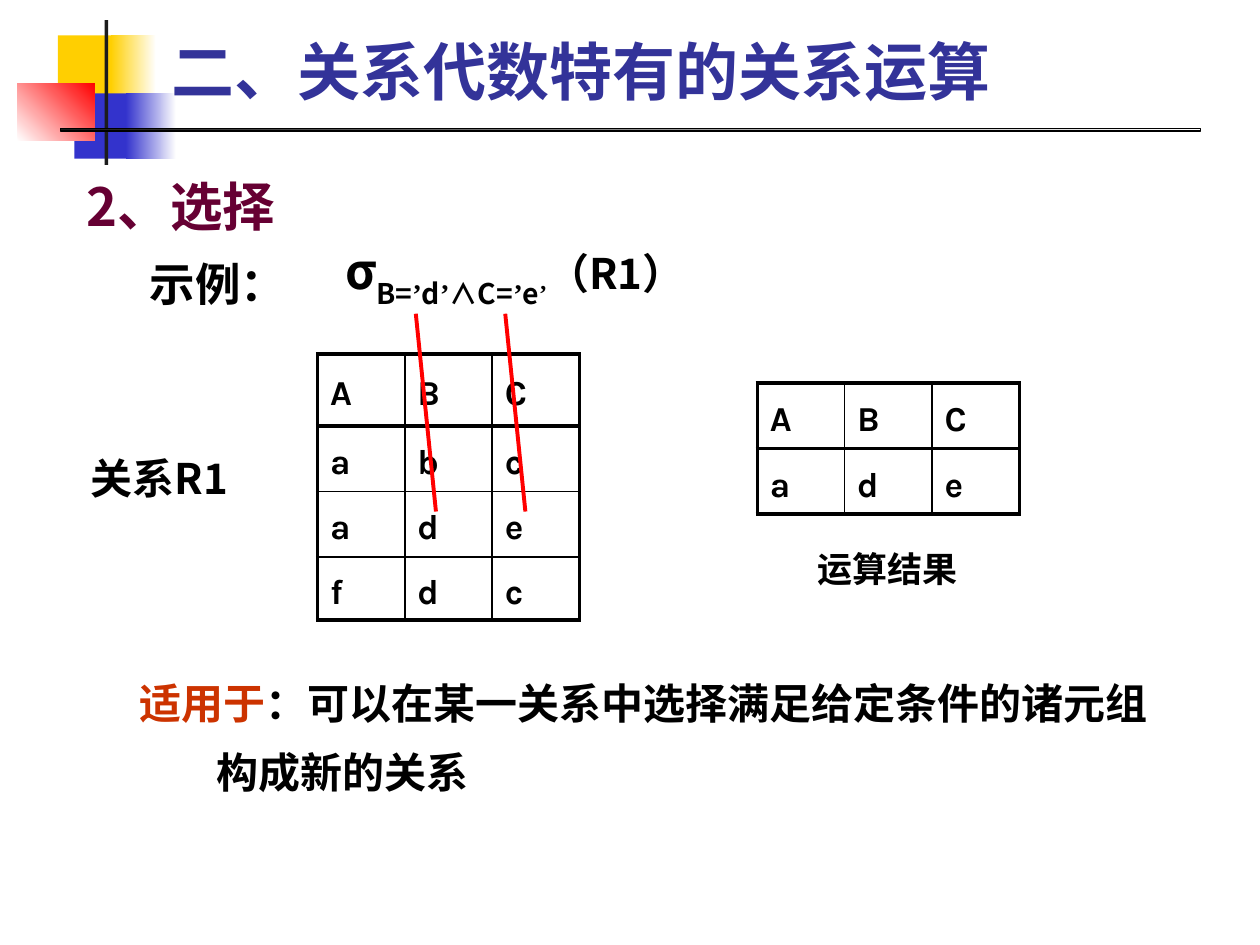
from dataclasses import dataclass

from lxml.etree import SubElement
from pptx import Presentation
from pptx.dml.color import RGBColor
from pptx.enum.shapes import MSO_CONNECTOR, MSO_SHAPE
from pptx.enum.text import MSO_ANCHOR, PP_ALIGN
from pptx.oxml.ns import qn
from pptx.util import Inches, Pt


@dataclass(frozen=True)
class Theme:
    black: str = "000000"
    white: str = "FFFFFF"
    yellow: str = "FFCF01"
    blue: str = "3333CC"
    red: str = "FF0000"
    bar: str = "1C1C1C"
    title: str = "333399"
    heading: str = "660033"
    accent: str = "CC3300"
    cjk: str = "Noto Sans CJK SC"
    latin: str = "Karla"
    serif: str = "Times New Roman"
    sans: str = "Arial"
    title_size: int = 36
    heading_size: int = 30
    formula_size: int = 28
    example_size: int = 26
    body_size: int = 24
    small_size: int = 20
    thick: float = 2.25
    thin: float = 1


T = Theme()


def add_run(p, text, size, color=T.black, font=T.cjk, subscript=False):
    r = p.add_run()
    r.text = text
    r.font.size = Pt(size)
    r.font.bold = True
    r.font.name = font
    r.font.color.rgb = RGBColor.from_string(color)
    rPr = r.font._element
    SubElement(rPr, qn("a:ea")).set("typeface", font)
    if subscript:
        rPr.set("baseline", "-30000")


def add_text(left, top, width, height, wrap=True):
    tf = s.shapes.add_textbox(*map(Inches, (left, top, width, height))).text_frame
    tf.word_wrap = wrap
    return tf


prs = Presentation()
prs.slide_width, prs.slide_height = Inches(10), Inches(7.5)
s = prs.slides.add_slide(prs.slide_layouts[6])

# Corner decoration and title rule: box, colours (two make a gradient), angle
decoration = [
    ((0.46, 0.28, 0.48, 0.52), [T.yellow], 0),
    ((0.88, 0.28, 0.36, 0.52), [T.yellow, T.white], 0),
    ((0.59, 0.74, 0.46, 0.52), [T.blue], 0),
    ((1, 0.74, 0.4, 0.52), [T.blue, T.white], 0),
    ((0.14, 0.66, 0.61, 0.46), [T.white, T.red], 45),
    ((0.83, 0.16, 0.03, 1.15), [T.bar], 0),
    ((0.48, 1.02, 9.05, 0.02), [T.bar, T.white], 0),
]
for box, colors, angle in decoration:
    sp = s.shapes.add_shape(MSO_SHAPE.RECTANGLE, *map(Inches, box))
    sp.shadow.inherit = False
    sp.line.fill.background()
    if len(colors) == 1:
        sp.fill.solid()
        sp.fill.fore_color.rgb = RGBColor.from_string(colors[0])
    else:
        sp.fill.gradient()
        sp.fill.gradient_angle = angle
        for stop, color in zip(sp.fill.gradient_stops, colors):
            stop.color.rgb = RGBColor.from_string(color)
title_rule = sp
title_rule.line.color.rgb = RGBColor.from_string(T.black)
title_rule.line.width = Pt(0.75)

# Title
tf = add_text(1.26, 0.23, 8.52, 0.68)
tf.vertical_anchor = MSO_ANCHOR.BOTTOM
add_run(tf.paragraphs[0], "二、关系代数特有的关系运算", T.title_size, T.title, T.latin)

# Heading and example label
tf = add_text(0.59, 1.23, 8.82, 5.98)
p = tf.paragraphs[0]
p.line_spacing = 1.2
add_run(p, "2、选择", T.heading_size, T.heading)
p = tf.add_paragraph()
p.line_spacing = 1.2
p.space_before = Pt(5)
p._p.get_or_add_pPr().set("marL", str(Inches(0.5)))
add_run(p, "示例：", T.example_size)

# Relation tables: left, top, row heights, rows
tables = [
    (2.52, 2.81, [0.57, 0.52, 0.52, 0.46], ["ABC", "abc", "ade", "fdc"]),
    (6.01, 3.04, [0.52, 0.52], ["ABC", "ade"]),
]
for left, top, heights, rows in tables:
    frame = s.shapes.add_table(len(rows), 3, Inches(left), Inches(top),
                               Inches(2.08), Inches(sum(heights)))
    table = frame.table
    for column in table.columns:
        column.width = Inches(2.08 / 3)
    for i, (height, row) in enumerate(zip(heights, rows)):
        table.rows[i].height = Inches(height)
        for j, letter in enumerate(row):
            cell = table.cell(i, j)
            cell.vertical_anchor = MSO_ANCHOR.MIDDLE
            p = cell.text_frame.paragraphs[0]
            p.line_spacing = 1.2
            add_run(p, letter, T.small_size, font=T.latin)
            # Outer edges and the line under the header are thick
            thick_sides = {
                "a:lnL": j == 0,
                "a:lnR": j == 2,
                "a:lnT": i <= 1,
                "a:lnB": i in (0, len(rows) - 1),
            }
            tcPr = cell._tc.get_or_add_tcPr()
            for side, is_thick in thick_sides.items():
                ln = SubElement(tcPr, qn(side))
                ln.set("w", str(Pt(T.thick if is_thick else T.thin)))
                fill = SubElement(ln, qn("a:solidFill"))
                SubElement(fill, qn("a:srgbClr")).set("val", T.black)
            cell.fill.background()

# Labels
labels = [
    ((0.35, 3.54, 1.83, 0.5), "关系R1", T.body_size, T.cjk),
    ((6.02, 4.3, 2.05, 0.43), "运算结果", T.small_size, T.sans),
]
for box, text, size, font in labels:
    p = add_text(*box).paragraphs[0]
    p.alignment = PP_ALIGN.CENTER
    add_run(p, text, size, font=font)

# Selection formula
p = add_text(2.64, 1.86, 3.15, 0.57, wrap=False).paragraphs[0]
add_run(p, "σ", T.formula_size)
for text in ["B=", "’", "d", "’", "∧C=", "’", "e"]:
    add_run(p, text, T.formula_size, font=T.serif if text == "’" else T.cjk, subscript=True)
add_run(p, "’", T.body_size, font=T.serif, subscript=True)
add_run(p, "（R1）", T.body_size)

# Conclusion
tf = add_text(0.51, 5.25, 9.06, 1.14)
conclusion = [
    (0.5, [("适用于", T.accent), ("：可以在某一关系中选择满足给定条件的诸元组", T.black)]),
    (1.11, [("构成新的关系", T.black)]),
]
for i, (indent, runs) in enumerate(conclusion):
    p = tf.add_paragraph() if i else tf.paragraphs[0]
    p.line_spacing = 1.2
    if i:
        p.space_before = Pt(5)
    p._p.get_or_add_pPr().set("marL", str(Inches(indent)))
    for text, color in runs:
        add_run(p, text, T.body_size, color)

# Lines from each condition to its matching value
for x in (3.3, 4.01):
    line = s.shapes.add_connector(MSO_CONNECTOR.STRAIGHT, Inches(x), Inches(2.49),
                                  Inches(x + 0.16), Inches(4.06))
    line.line.color.rgb = RGBColor.from_string(T.red)
    line.line.width = Pt(T.thick)
    SubElement(line._element.spPr, qn("a:effectLst"))

prs.save("out.pptx")
